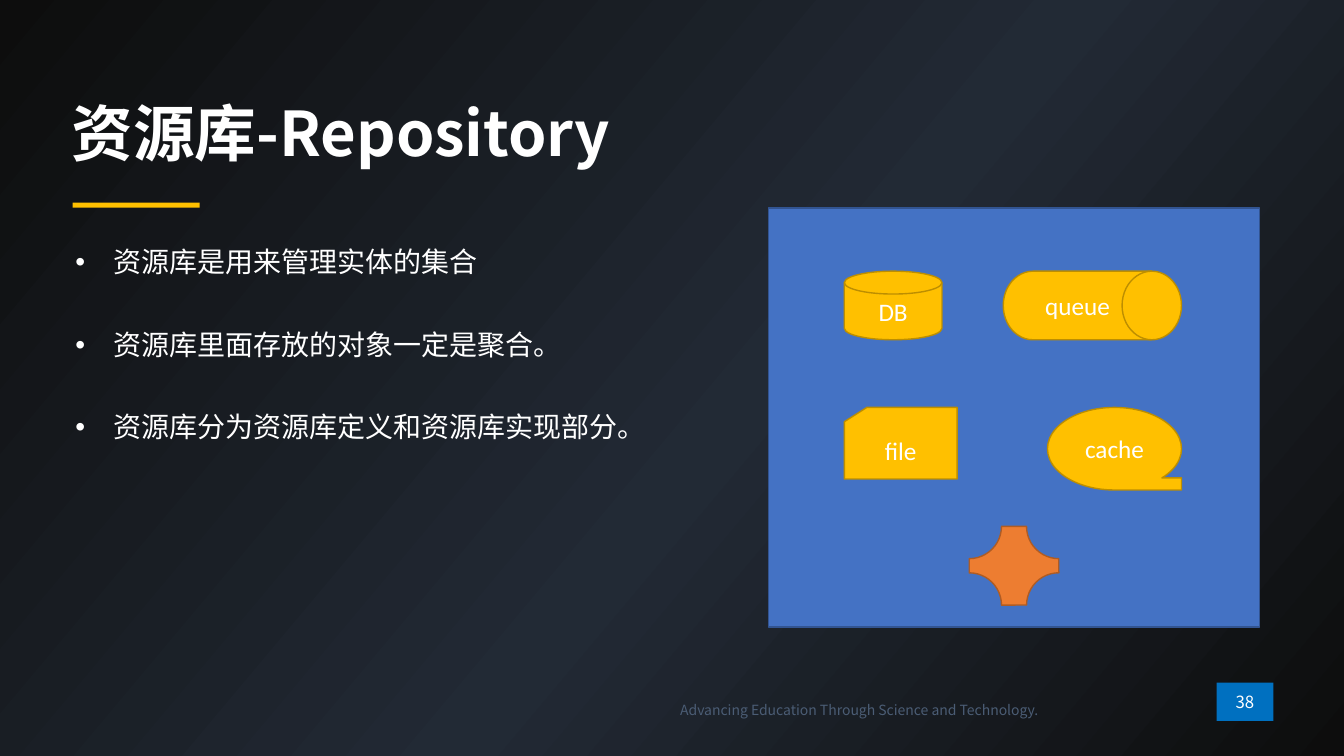
from copy import deepcopy

from lxml.etree import SubElement
from pptx import Presentation
from pptx.dml.color import RGBColor
from pptx.enum.shapes import MSO_SHAPE
from pptx.enum.text import MSO_ANCHOR, PP_ALIGN
from pptx.oxml.ns import qn
from pptx.util import Pt

COLORS = {
    "edge": "0D0D0D", "middle": "222A35", "white": "FFFFFF",
    "accent": "FFC000", "accent_line": "BD8E00",
    "panel": "4472C4", "panel_line": "325491",
    "plaque": "ED7D31", "plaque_line": "AF5C24",
    "badge": "0070C0", "slogan": "4B5D75",
}
SANS = "Noto Sans CJK SC"
LABEL_FONT = "Calibri"


def rgb(name):
    return RGBColor.from_string(COLORS[name])


def add_run(paragraph, text, size, color="white", font=SANS, bold=False):
    run = paragraph.add_run()
    run.text = text
    run.font.size = Pt(size)
    run.font.bold = bold
    run.font.name = font
    run.font.color.rgb = rgb(color)
    SubElement(run._r.get_or_add_rPr(), qn("a:ea"), typeface=font)


def add_filled(slide, preset, box, fill, line=None):
    shape = slide.shapes.add_shape(preset, *map(Pt, box))
    shape.shadow.inherit = False
    shape.fill.solid()
    shape.fill.fore_color.rgb = rgb(fill)
    if line:
        shape.line.color.rgb = rgb(line)
        shape.line.width = Pt(1)
    else:
        shape.line.fill.background()
    return shape


def add_centred_text(shape, text, size, font):
    frame = shape.text_frame
    frame.vertical_anchor = MSO_ANCHOR.MIDDLE
    frame.paragraphs[0].alignment = PP_ALIGN.CENTER
    add_run(frame.paragraphs[0], text, size, font=font)


def paint_background(slide):
    fill = slide.background.fill
    fill.gradient()
    fill.gradient_angle = 320
    first_stop = next(slide.element.iter(qn("a:gs")))
    first_stop.addnext(deepcopy(first_stop))
    stops = ((0, "edge"), (0.55, "middle"), (1, "edge"))
    for stop, (position, color) in zip(fill.gradient_stops, stops):
        stop.position = position
        stop.color.rgb = rgb(color)


def add_heading(slide, box, text):
    """Fill the title placeholder and underline its start with a short bar."""
    left, top, width, height = box
    title = slide.shapes.title
    title.left, title.top, title.width, title.height = map(Pt, box)
    frame = title.text_frame
    frame.word_wrap = True
    frame.vertical_anchor = MSO_ANCHOR.MIDDLE
    paragraph = frame.paragraphs[0]
    paragraph.alignment = PP_ALIGN.LEFT
    paragraph.line_spacing = 0.9
    add_run(paragraph, text, 44, bold=True)
    add_filled(slide, MSO_SHAPE.RECTANGLE,
               (left + 8, top + height + 16.5, 90.7, 3.6), "accent")


def add_points(slide, box, points):
    frame = slide.shapes.add_textbox(*map(Pt, box)).text_frame
    frame.word_wrap = True
    for index, point in enumerate(points):
        paragraph = frame.add_paragraph() if index else frame.paragraphs[0]
        properties = paragraph._p.get_or_add_pPr()
        properties.set("marL", str(Pt(27)))
        properties.set("indent", str(Pt(-27)))
        SubElement(properties, qn("a:buFont"), typeface="Arial")
        SubElement(properties, qn("a:buChar"), char="•")
        paragraph.line_spacing = 0.9
        paragraph.space_before = Pt(37.2 if index else 0)
        add_run(paragraph, point, 20)


def add_repository(slide, box):
    """Draw the panel with its four kinds of storage and the plaque below."""
    left, top, width, height = box
    add_filled(slide, MSO_SHAPE.RECTANGLE, box, "panel", "panel_line")
    left_edge, right_edge = left + 54, left + width - 55.6
    upper_row, lower_row = top + 45.2, top + 142.5
    stores = (
        ("DB", MSO_SHAPE.FLOWCHART_MAGNETIC_DISK,
         left_edge, upper_row, 69.8, 49),
        ("queue", MSO_SHAPE.FLOWCHART_DIRECT_ACCESS_STORAGE,
         right_edge - 127.4, upper_row, 127.4, 49),
        ("file", MSO_SHAPE.FLOWCHART_CARD,
         left_edge, lower_row, 80.6, 51.1),
        ("cache", MSO_SHAPE.FLOWCHART_SEQUENTIAL_ACCESS_STORAGE,
         right_edge - 95.8, lower_row, 95.8, 59),
    )
    for label, preset, *store_box in stores:
        store = add_filled(slide, preset, store_box, "accent", "accent_line")
        add_centred_text(store, label, 18, LABEL_FONT)

    plaque_width = 64
    plaque = add_filled(
        slide, MSO_SHAPE.PLAQUE,
        (left + (width - plaque_width) / 2, top + 227.5, plaque_width, 56.2),
        "plaque", "plaque_line")
    plaque.adjustments[0] = 0.41


def add_footer(slide, box, slogan, number):
    """Set the slogan at the left and the page badge at the right of the box."""
    left, top, width, height = box
    badge_width = 40.5
    badge = add_filled(
        slide, MSO_SHAPE.RECTANGLE,
        (left + width - badge_width, top, badge_width, height - 2), "badge")
    add_centred_text(badge, number, 12, SANS)
    frame = slide.shapes.add_textbox(
        Pt(left), Pt(top + 10), Pt(417), Pt(19.4)).text_frame
    frame.word_wrap = True
    frame.paragraphs[0].alignment = PP_ALIGN.RIGHT
    add_run(frame.paragraphs[0], slogan, 10, "slogan")


def main():
    presentation = Presentation()
    presentation.slide_width = Pt(960.5)
    presentation.slide_height = Pt(540)
    title_only = presentation.slide_layouts[5]
    slide = presentation.slides.add_slide(title_only)
    paint_background(slide)
    add_footer(slide, (332, 487.5, 578, 29.4),
               "Advancing Education Through Science and Technology.", "38")
    add_heading(slide, (44, 66.2, 862, 62), "资源库-Repository")
    add_points(slide, (46.8, 174.2, 480, 282), (
        "资源库是用来管理实体的集合",
        "资源库里面存放的对象一定是聚合。",
        "资源库分为资源库定义和资源库实现部分。",
    ))
    add_repository(slide, (549.4, 148.5, 350.6, 299.5))
    presentation.save("out.pptx")


if __name__ == "__main__":
    main()
